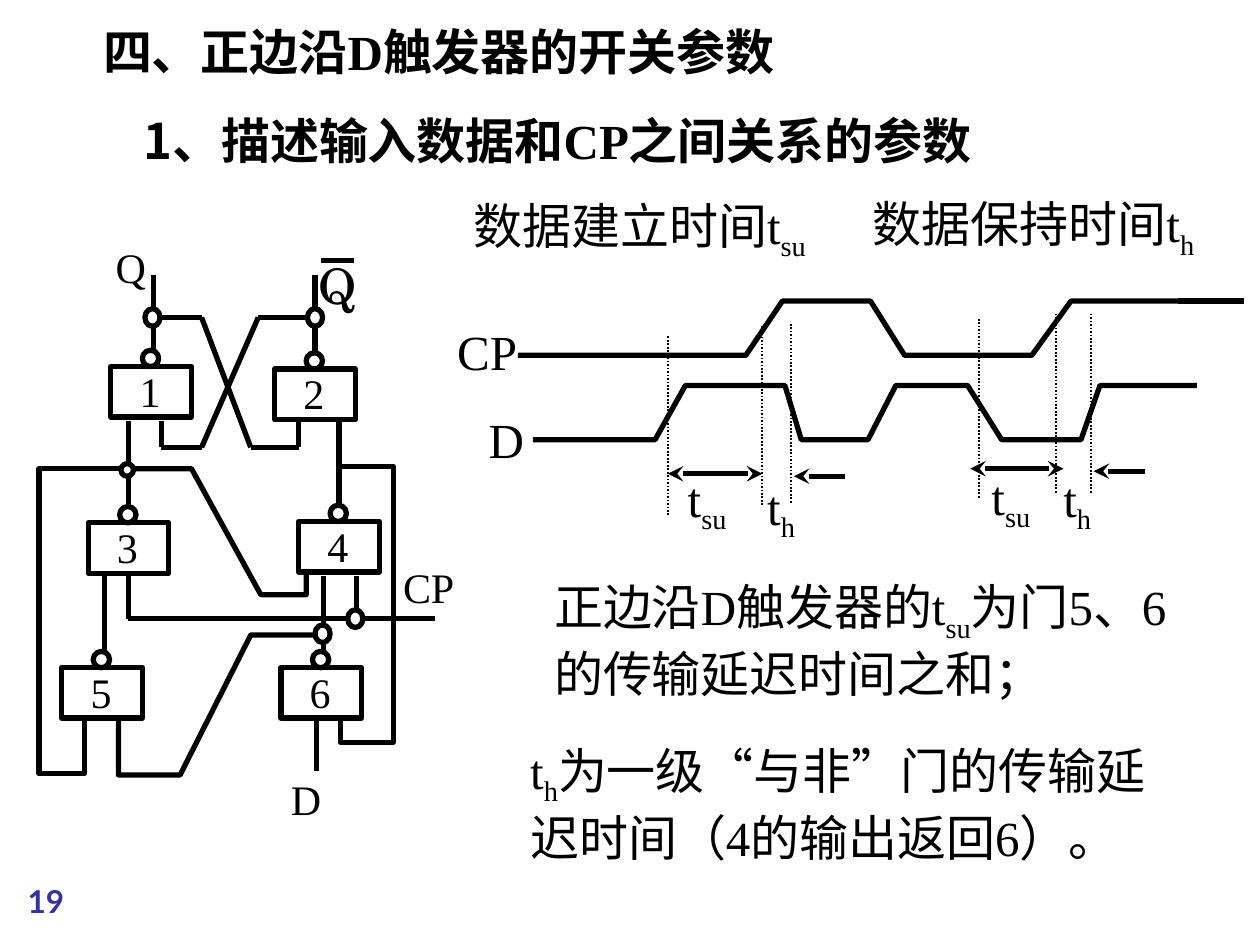
from dataclasses import dataclass

from lxml import etree
from pptx import Presentation
from pptx.dml.color import RGBColor
from pptx.enum.dml import MSO_LINE
from pptx.enum.shapes import MSO_CONNECTOR, MSO_SHAPE
from pptx.enum.text import MSO_AUTO_SIZE
from pptx.oxml.ns import qn
from pptx.util import Inches, Pt

STRAIGHT = MSO_CONNECTOR.STRAIGHT
RECTANGLE, OVAL = MSO_SHAPE.RECTANGLE, MSO_SHAPE.OVAL
DOTTED = MSO_LINE.ROUND_DOT
GROW = MSO_AUTO_SIZE.SHAPE_TO_FIT_TEXT


@dataclass(frozen=True)
class Theme:
    """Colours, fonts and sizes of the slide."""
    ink: RGBColor = RGBColor(0, 0, 0)
    paper: RGBColor = RGBColor(255, 255, 255)
    number: RGBColor = RGBColor(0x33, 0x33, 0x99)
    serif: str = "Times New Roman"
    han: str = "Noto Sans CJK SC"
    school: str = "TeX Gyre Schola"
    sans: str = "Lato"
    body: int = 28
    label: int = 24
    page: int = 18
    stroke: int = 3
    hairline: int = 1


THEME = Theme()


@dataclass(frozen=True)
class Run:
    """A stretch of text with one look."""
    text: str
    face: str = THEME.serif
    lowered: bool = False


def add_text(slide, box, runs, size=THEME.body, bold=False, color=THEME.ink,
             wrap=True, framed=False, inset=None):
    """Add a one-paragraph text box made of runs."""
    holder = slide.shapes.add_textbox(*map(Inches, box))
    frame = holder.text_frame
    frame.word_wrap = wrap
    frame.auto_size = GROW
    if inset is not None:
        frame.margin_left = frame.margin_right = Inches(inset)
        frame.margin_top = frame.margin_bottom = Inches(inset)
    if framed:
        holder.line.color.rgb = THEME.paper
        holder.line.width = Pt(THEME.stroke)
    for part in runs:
        run = frame.paragraphs[0].add_run()
        run.text = part.text
        run.font.size = Pt(size)
        run.font.bold = bold
        run.font.color.rgb = color
        run.font.name = part.face
        properties = run.font._element
        etree.SubElement(properties, qn("a:ea"), typeface=THEME.han)
        if part.lowered:
            properties.set("baseline", "-25000")


def add_wire(slide, start, end, width=THEME.stroke, dash=None, arrows=()):
    """Add a straight line with optional dash and arrowheads."""
    wire = slide.shapes.add_connector(STRAIGHT, *map(Inches, start + end))
    wire.line.color.rgb = THEME.ink
    wire.line.width = Pt(width)
    if dash:
        wire.line.dash_style = dash
    outline = wire.line._get_or_add_ln()
    for arrow in arrows:
        etree.SubElement(outline, qn(arrow), type="stealth")
    etree.SubElement(wire._element.spPr, qn("a:effectLst"))


def style_outline(shape, filled=False):
    """Give a shape a black outline and a white or empty fill."""
    shape.shadow.inherit = False
    if filled:
        shape.fill.solid()
        shape.fill.fore_color.rgb = THEME.paper
    else:
        shape.fill.background()
    shape.line.color.rgb = THEME.ink
    shape.line.width = Pt(THEME.stroke)


def add_path(slide, points):
    """Add an open polyline through the points."""
    start, *rest = [(Inches(x), Inches(y)) for x, y in points]
    builder = slide.shapes.build_freeform(*start)
    builder.add_line_segments(rest, close=False)
    style_outline(builder.convert_to_shape())


def add_outlined(slide, kind, box, filled=False):
    """Add a preset shape with the diagram outline."""
    style_outline(slide.shapes.add_shape(kind, *map(Inches, box)), filled)


def add_gate(slide, number, left, top):
    """Add a numbered gate with its inverting bubble."""
    add_outlined(slide, RECTANGLE, (left, top, 0.64, 0.4))
    add_outlined(slide, OVAL, (left + 0.25, top - 0.13, 0.13, 0.13))
    add_text(slide, (left + 0.13, top - 0.06, 0.41, 0.5), [Run(str(number))], THEME.label)


def timed(prefix, subscript, suffix=""):
    """Return runs for a t symbol with a subscript inside a sentence."""
    runs = [Run(prefix + "t"), Run(subscript, lowered=True)]
    return runs + [Run(suffix)] if suffix else runs


def add_headings(slide):
    """Add the two headings and the page number."""
    han = THEME.han
    add_text(slide, (0.72, 0.12, 6.03, 0.57),
             [Run("四、正边沿", han), Run("D"), Run("触发器的开关参数", han)], bold=True)
    add_text(slide, (1.04, 0.83, 7.5, 0.57),
             [Run("1、描述输入数据和", han), Run("CP"), Run("之间关系的参数", han)], bold=True)
    add_text(slide, (0.12, 6.95, 0.99, 0.37), [Run("19", THEME.sans)], THEME.page,
             bold=True, color=THEME.number)


def add_timing(slide):
    """Add the CP and D waveforms with setup and hold times."""
    add_text(slide, (3.66, 1.5, 2.99, 0.57), timed("数据建立时间", "su"))
    add_text(slide, (6.83, 1.49, 2.97, 0.57), timed("数据保持时间", "h"))
    add_text(slide, (3.53, 2.5, 0.95, 0.57), [Run("CP")], framed=True)
    add_text(slide, (3.78, 3.2, 0.65, 0.57), [Run("D")])
    waves = [
        (2.39, 2.82, (4.11, 5.92), (6.21, 6.91), (7.18, 8.19), (8.5, 9.37)),
        (3.06, 3.49, (4.23, 5.2), (5.44, 6.23), (6.36, 6.89), (7.11, 7.68),
         (7.95, 8.58), (8.73, 9.5)),
    ]
    for high, low, *spans in waves:
        add_path(slide, [(x, high if i % 2 else low)
                         for i, span in enumerate(spans) for x in span])
    add_wire(slide, (9.35, 2.39), (9.87, 2.39))
    for x, top in [(5.3, 2.67), (6.05, 2.59), (6.28, 2.57),
                   (7.77, 2.53), (8.38, 2.49), (8.66, 2.49)]:
        add_wire(slide, (x, top), (x, top + 1.43), THEME.hairline, DOTTED)
    for left, right, y in [(5.3, 6.05, 3.76), (7.7, 8.44, 3.72)]:
        add_wire(slide, (left, y), (right, y), arrows=("a:headEnd", "a:tailEnd"))
    for left, y in [(6.3, 3.78), (8.68, 3.74)]:
        add_wire(slide, (left, y), (left + 0.41, y), arrows=("a:headEnd",))
    for subscript, left, top in [("su", 5.36, 3.67), ("su", 7.77, 3.65),
                                 ("h", 5.99, 3.73), ("h", 8.34, 3.67)]:
        add_text(slide, (left, top, 0.78, 0.57), timed("", subscript))


def add_circuit(slide):
    """Add the six-gate flip-flop circuit."""
    for name, box in [("CP", (3.1, 4.41, 0.61, 0.51)), ("D", (2.21, 6.09, 0.44, 0.5)),
                      ("Q", (0.82, 1.87, 0.46, 0.5))]:
        add_text(slide, box, [Run(name)], THEME.label, wrap=False)
    add_wire(slide, (2.55, 2.07), (2.81, 2.07))
    add_text(slide, (2.53, 2.03, 0.32, 0.47), [Run("Q", THEME.school)], inset=0)
    verticals = [
        (1.22, 2.79, 2.18), (2.5, 2.79, 2.18), (1.02, 4.02, 3.34), (2.69, 4.02, 3.34),
        (2.57, 5.18, 4.57), (0.83, 5.18, 4.57), (2.51, 5.71, 6.12), (1.02, 4.57, 4.91),
        (2.83, 4.57, 4.91), (1.28, 3.34, 3.55), (2.37, 3.34, 3.55),
    ]
    for x, start, end in verticals:
        add_wire(slide, (x, start), (x, end))
    for y, start, end in [(2.52, 1.22, 1.6), (2.52, 2.5, 2.05), (4.91, 1.02, 3.45),
                          (3.55, 1.28, 1.6), (3.55, 2.37, 1.99)]:
        add_wire(slide, (start, y), (end, y))
    add_wire(slide, (2.05, 2.52), (1.6, 3.55))
    add_wire(slide, (1.6, 2.52), (1.99, 3.55))
    feedbacks = [
        [(2.54, 5.04), (1.99, 5.04), (1.43, 6.15), (0.94, 6.15), (0.94, 5.7)],
        [(1.03, 3.72), (0.31, 3.72), (0.31, 6.14), (0.67, 6.14), (0.67, 5.7)],
        [(1.01, 3.72), (1.52, 3.72), (2.07, 4.72), (2.43, 4.72), (2.43, 4.55)],
        [(2.67, 3.7), (3.12, 3.7), (3.12, 5.89), (2.7, 5.89), (2.7, 5.68)],
    ]
    for points in feedbacks:
        add_path(slide, points)
    for left, top in [(2.5, 4.96), (2.76, 4.84), (2.44, 2.45), (1.15, 2.45)]:
        add_outlined(slide, OVAL, (left, top, 0.12, 0.14), filled=True)
    add_outlined(slide, OVAL, (0.96, 3.68, 0.1, 0.1), filled=True)
    gates = [(0.88, 2.91), (2.18, 2.93), (0.7, 4.15), (2.37, 4.14), (0.49, 5.3), (2.23, 5.3)]
    for number, corner in enumerate(gates, 1):
        add_gate(slide, number, *corner)


def add_conclusions(slide):
    """Add the two statements about setup and hold time."""
    add_text(slide, (4.3, 4.53, 5.24, 1.04),
             timed("正边沿D触发器的", "su", "为门5、6的传输延迟时间之和；"), framed=True)
    add_text(slide, (4.11, 5.83, 5.29, 1.04),
             timed("", "h", "为一级“与非”门的传输延迟时间（4的输出返回6）。"), framed=True)


def main():
    """Build the slide and save it."""
    deck = Presentation()
    deck.slide_width, deck.slide_height = Inches(10), Inches(7.5)
    slide = deck.slides.add_slide(deck.slide_layouts[6])
    add_headings(slide)
    add_timing(slide)
    add_conclusions(slide)
    add_circuit(slide)
    deck.save("out.pptx")


if __name__ == "__main__":
    main()
